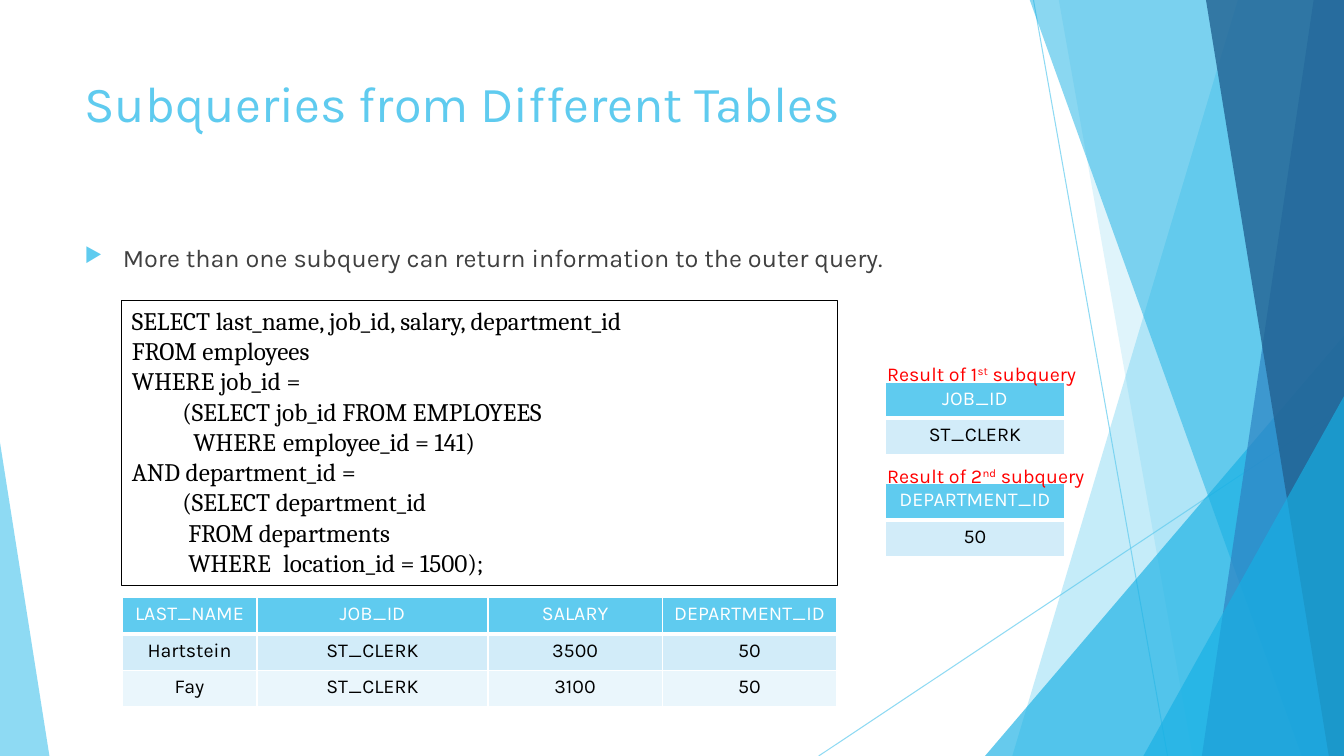
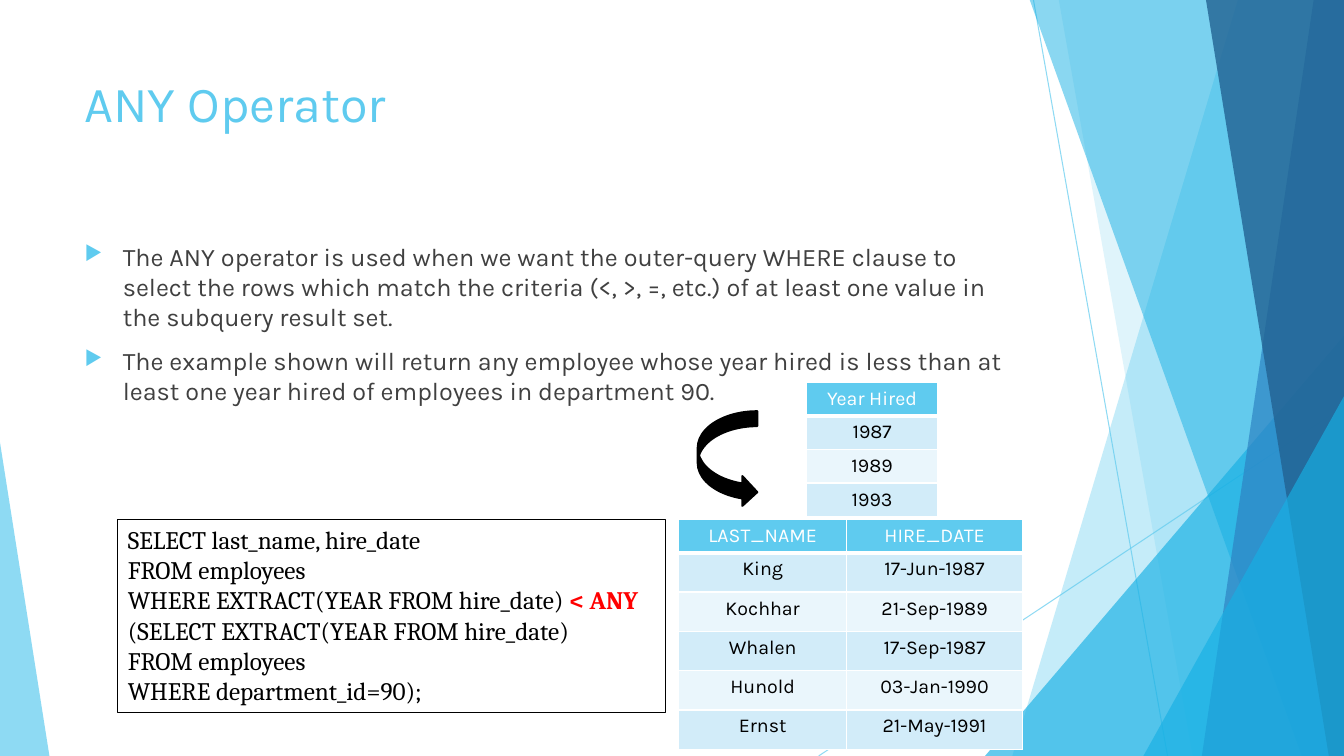
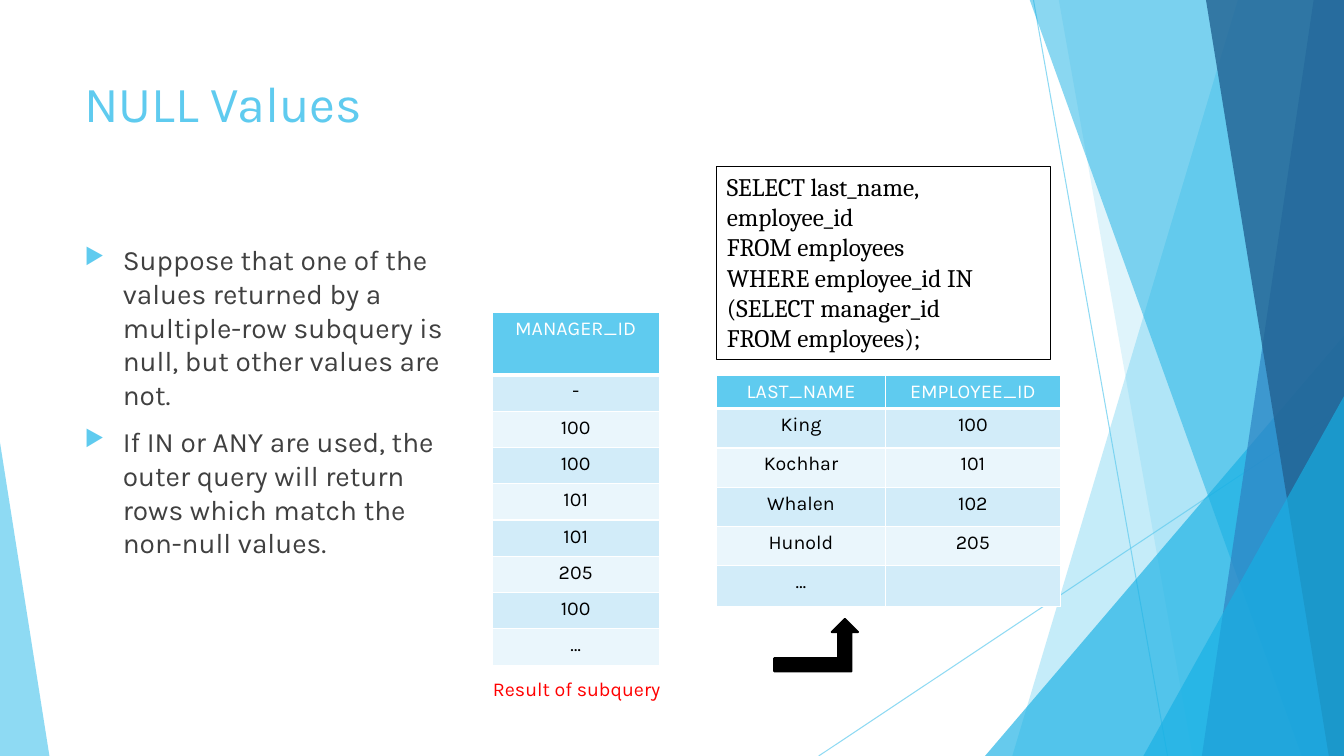
from pptx import Presentation
from pptx.dml.color import RGBColor
from pptx.enum.shapes import MSO_CONNECTOR, MSO_SHAPE as SHAPE
from pptx.enum.text import MSO_ANCHOR, PP_ALIGN as ALIGN
from pptx.oxml.ns import qn
from pptx.util import Inches, Pt
from lxml.etree import SubElement

WIDTH, HEIGHT = 13.33, 7.5
SKY, CYAN, BLUE, NAVY = "5FCBEF", "17B0E4", "2E83C3", "226292"
BANDS = ("D2ECF9", "EAF6FC")
WHITE, BLACK, RED, GREY = "FFFFFF", "000000", "FF0000", "404040"
SANS, SERIF = "Karla", "Cambria"

# Background facets: top-left x, bottom-left x, colour, opacity
FACETS_BACK = [(12.28, 10.04, SKY, 36), (10.5, 11.83, SKY, 20)]
FACETS_FRONT = [(10.21, 12.91, CYAN, 50), (13.03, 11.92, BLUE, 70),
                (11.96, 13.18, NAVY, 80)]


def rgb(color):
    return RGBColor.from_string(color)


def inches(box):
    return [Inches(value) for value in box]


def set_opacity(shape, percent):
    color = shape.element.spPr.find(".//" + qn("a:srgbClr"))
    SubElement(color, qn("a:alpha")).set("val", str(percent * 1000))


def paint(shape, fill=None, line=None, weight=0.75):
    shape.shadow.inherit = False
    if fill:
        shape.fill.solid()
        shape.fill.fore_color.rgb = rgb(fill)
    else:
        shape.fill.background()
    if line:
        shape.line.color.rgb = rgb(line)
        shape.line.width = Pt(weight)
    else:
        shape.line.fill.background()


def add_span(para, text, size, color, font=SANS, bold=False):
    span = para.add_run()
    span.text = text
    span.font.size = Pt(size)
    span.font.name = font
    span.font.bold = bold
    span.font.color.rgb = rgb(color)
    return span


def paragraphs(frame, items):
    """Yield one paragraph of the frame for each item."""
    for index, item in enumerate(items):
        yield (frame.add_paragraph() if index else frame.paragraphs[0]), item


def add_text_box(page, box):
    frame = page.shapes.add_textbox(*inches(box)).text_frame
    frame.word_wrap = True
    return frame


# Shared background
def add_ray(page, start, end):
    ray = page.shapes.add_connector(MSO_CONNECTOR.STRAIGHT, *inches(start + end))
    ray.line.color.rgb = rgb(SKY)
    ray.line.width = Pt(0.75)
    set_opacity(ray, 70)
    SubElement(ray.element.spPr, qn("a:effectLst"))


def add_facet(page, top_x, bottom_x, color, opacity):
    corners = [(WIDTH, -0.01), (WIDTH, HEIGHT), (bottom_x, HEIGHT)]
    outline = page.shapes.build_freeform(Inches(top_x), Inches(-0.01))
    outline.add_line_segments([inches(point) for point in corners], close=True)
    facet = outline.convert_to_shape()
    paint(facet, color)
    set_opacity(facet, opacity)


def add_wedge(page, left, top, width, apex, color, opacity):
    box = inches((left, top, width, HEIGHT - top))
    wedge = page.shapes.add_shape(SHAPE.ISOSCELES_TRIANGLE, *box)
    wedge.adjustments[0] = apex
    paint(wedge, color)
    set_opacity(wedge, opacity)


def add_background(page):
    add_ray(page, (10.25, 0), (11.58, HEIGHT))
    add_ray(page, (WIDTH, 4.03), (8.12, HEIGHT))
    for facet in FACETS_BACK:
        add_facet(page, *facet)
    add_wedge(page, 9.77, 3.33, 3.56, 1, CYAN, 66)
    for facet in FACETS_FRONT:
        add_facet(page, *facet)
    add_wedge(page, 11.34, 3.93, 1.99, 1, CYAN, 66)
    add_wedge(page, 0, 4.39, 0.49, 0, SKY, 70)


def add_page(deck, title):
    page = deck.slides.add_slide(deck.slide_layouts[6])
    add_background(page)
    frame = add_text_box(page, (0.74, 0.67, 9.4, 1.44))
    add_span(frame.paragraphs[0], title, 36, SKY)
    return page


# Regions
def add_bullets(page, box, texts, size=18):
    frame = add_text_box(page, box)
    for para, text in paragraphs(frame, texts):
        para.space_before = Pt(10)
        props = para._p.get_or_add_pPr()
        props.set("marL", str(Inches(0.38)))
        props.set("indent", str(Inches(-0.38)))
        tint = SubElement(props, qn("a:buClr"))
        SubElement(tint, qn("a:srgbClr")).set("val", SKY)
        SubElement(props, qn("a:buSzPct")).set("val", "80000")
        SubElement(props, qn("a:buChar")).set("char", "▶")
        add_span(para, text, size, GREY)


def add_code(page, box, lines):
    """Each line is its text, optional red text, and optional first tab stop."""
    panel = page.shapes.add_shape(SHAPE.RECTANGLE, *inches(box))
    paint(panel, line=BLACK)
    frame = panel.text_frame
    frame.word_wrap = True
    frame.vertical_anchor = MSO_ANCHOR.TOP
    for para, line in paragraphs(frame, lines):
        text, marked, stop = line if isinstance(line, tuple) else (line, "", 0)
        para.alignment = ALIGN.LEFT
        if stop:
            tabs = SubElement(para._p.get_or_add_pPr(), qn("a:tabLst"))
            for position in (stop, 1.5):
                tab = SubElement(tabs, qn("a:tab"))
                tab.set("pos", str(Inches(position)))
                tab.set("algn", "l")
        add_span(para, text, 18, BLACK, SERIF)
        if marked:
            add_span(para, marked, 18, RED, SERIF, bold=True)


def add_borders(cell, bottom):
    props = cell._tc.get_or_add_tcPr()
    for side, weight in (("L", 1), ("R", 1), ("T", 1), ("B", bottom)):
        edge = SubElement(props, qn("a:ln" + side))
        edge.set("w", str(Pt(weight)))
        fill = SubElement(edge, qn("a:solidFill"))
        SubElement(fill, qn("a:srgbClr")).set("val", WHITE)


def add_grid(page, left, top, widths, rows, row_height=0.36, head_height=None):
    heights = [head_height or row_height] + [row_height] * (len(rows) - 1)
    box = inches((left, top, sum(widths), sum(heights)))
    table = page.shapes.add_table(len(rows), len(widths), *box).table
    table.horz_banding = False
    for column, width in zip(table.columns, widths):
        column.width = Inches(width)
    for r, (texts, height) in enumerate(zip(rows, heights)):
        table.rows[r].height = Inches(height)
        for c, text in enumerate(texts):
            cell = table.cell(r, c)
            add_borders(cell, 1 if r else 3)
            cell.fill.solid()
            cell.fill.fore_color.rgb = rgb(BANDS[(r - 1) % 2] if r else SKY)
            para = cell.text_frame.paragraphs[0]
            para.alignment = ALIGN.CENTER
            add_span(para, text, 14, BLACK if r else WHITE)


def add_caption(page, left, top, width, text, ordinal="", rest=""):
    para = add_text_box(page, (left, top, width, 0.34)).paragraphs[0]
    add_span(para, text, 14, RED)
    if ordinal:
        raised = add_span(para, ordinal, 14, RED)
        raised._r.get_or_add_rPr().set("baseline", "30000")
        add_span(para, rest, 14, RED)


def add_subquery_result(page, left, top, ordinal, head, value):
    add_grid(page, left + 0.08, top + 0.25, [1.78], [[head], [value]])
    add_caption(page, left, top, 2.21, "Result of " + ordinal[0],
                ordinal[1:], " subquery")


def add_arrow(page, kind, box):
    paint(page.shapes.add_shape(kind, *inches(box)), BLACK, BLACK, 1.5)


# Slides
def build_subqueries(deck):
    page = add_page(deck, "Subqueries from Different Tables")
    add_bullets(page, (0.74, 2.36, 9.4, 4.24), [
        "More than one subquery can return information to the outer query."])
    add_code(page, (1.21, 2.98, 7.1, 2.83), [
        "SELECT last_name, job_id, salary, department_id",
        "FROM employees",
        "WHERE job_id =",
        ("\t(SELECT job_id FROM EMPLOYEES", "", 0.5),
        ("\tWHERE\temployee_id = 141)", "", 0.61),
        "AND department_id =",
        ("\t(SELECT department_id", "", 0.5),
        ("\tFROM departments", "", 0.56),
        ("\tWHERE\tlocation_id = 1500);", "", 0.56)])
    add_grid(page, 1.21, 5.93, [1.34, 2.29, 1.73, 1.73], [
        ["LAST_NAME", "JOB_ID", "SALARY", "DEPARTMENT_ID"],
        ["Hartstein", "ST_CLERK", "3500", "50"],
        ["Fay", "ST_CLERK", "3100", "50"]])
    add_subquery_result(page, 8.7, 4.55, "2nd", "DEPARTMENT_ID", "50")
    add_subquery_result(page, 8.7, 3.54, "1st", "JOB_ID", "ST_CLERK")


def build_any_operator(deck):
    page = add_page(deck, "ANY Operator")
    add_bullets(page, (0.74, 2.34, 9.4, 2.8), [
        "The ANY operator is used when we want the outer-query WHERE clause to "
        "select the rows which match the criteria (<, >, =, etc.) of at least "
        "one value in the subquery result set.",
        "The example shown will return any employee whose year hired is less "
        "than at least one year hired of employees in department 90."])
    add_grid(page, 6.73, 5.15, [1.67, 1.74], [
        ["LAST_NAME", "HIRE_DATE"], ["King", "17-Jun-1987"],
        ["Kochhar", "21-Sep-1989"], ["Whalen", "17-Sep-1987"],
        ["Hunold", "03-Jan-1990"], ["Ernst", "21-May-1991"]], 0.39, 0.33)
    add_code(page, (1.17, 5.15, 5.43, 1.92), [
        "SELECT last_name, hire_date",
        "FROM employees",
        ("WHERE EXTRACT(YEAR FROM hire_date) ", "< ANY", 0),
        "(SELECT EXTRACT(YEAR FROM hire_date)",
        "FROM employees",
        "WHERE department_id=90);"])
    add_grid(page, 8, 3.79, [1.3],
             [["Year Hired"], ["1987"], ["1989"], ["1993"]], 0.33)
    add_arrow(page, SHAPE.CURVED_RIGHT_ARROW, (6.92, 4.08, 0.59, 0.95))


def build_null_values(deck):
    page = add_page(deck, "NULL Values")
    add_bullets(page, (0.74, 2.36, 3.94, 4.24), [
        "Suppose that one of the values returned by a multiple-row subquery "
        "is null, but other values are not.",
        "If IN or ANY are used, the outer query will return rows which match "
        "the non-null values."], 20)
    add_grid(page, 7.11, 3.72, [1.67, 1.74], [
        ["LAST_NAME", "EMPLOYEE_ID"], ["King", "100"], ["Kochhar", "101"],
        ["Whalen", "102"], ["Hunold", "205"], ["…", ""]], 0.39, 0.33)
    managers = ["MANAGER_ID", "-", "100", "100", "101", "101", "205", "100", "…"]
    add_grid(page, 4.88, 3.1, [1.66], [[value] for value in managers], 0.36, 0.62)
    add_code(page, (7.11, 1.65, 3.31, 1.92), [
        "SELECT last_name, employee_id",
        "FROM employees",
        "WHERE employee_id IN",
        "(SELECT manager_id",
        "FROM employees);"])
    add_caption(page, 4.79, 6.67, 2.09, "Result of subquery")
    add_arrow(page, SHAPE.BENT_UP_ARROW, (7.68, 6.14, 0.83, 0.52))


def main():
    deck = Presentation()
    deck.slide_width, deck.slide_height = inches((WIDTH, HEIGHT))
    build_subqueries(deck)
    build_any_operator(deck)
    build_null_values(deck)
    deck.save("out.pptx")


if __name__ == "__main__":
    main()
